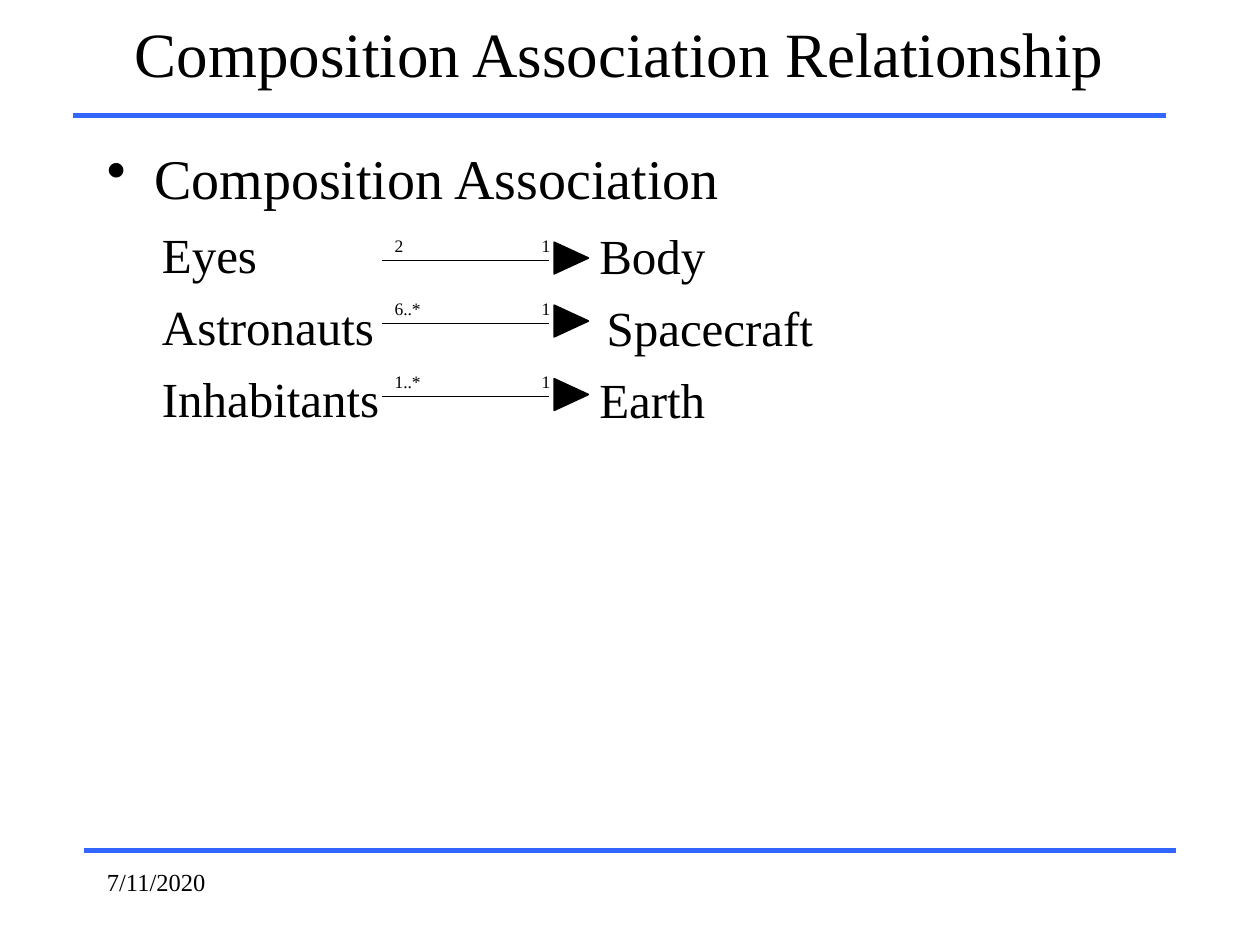
"""Build the composition association slide on a grid of 120 columns by 90 rows."""
import pptx
import pptx.dml.color
import pptx.enum.shapes
import pptx.enum.text
import pptx.oxml.ns
import pptx.util
from lxml import etree

BLACK = pptx.dml.color.RGBColor(0x00, 0x00, 0x00)
BLUE = pptx.dml.color.RGBColor(0x33, 0x66, 0xFF)
FONT = "Times New Roman"
ALIGN = pptx.enum.text.PP_ALIGN
ANCHOR = pptx.enum.text.MSO_ANCHOR
SHAPE = pptx.enum.shapes.MSO_SHAPE
CONNECTOR = pptx.enum.shapes.MSO_CONNECTOR
ROW_GAP = pptx.util.Pt(7.6)
RULES = [(7, 11), (8, 81)]
RELATIONS = [
    ("Eyes", "Body", "2", 24.8, 0),
    ("Astronauts", "Spacecraft", "6..*", 30.8, 0.7),
    ("Inhabitants", "Earth", "1..*", 37.8, 0),
]


def grid(*cells):
    """Turn grid counts into lengths."""
    return [pptx.util.Inches(c / 12) for c in cells]


def apply(obj, values):
    """Set each attribute of an object from a dict."""
    for name, value in values.items():
        setattr(obj, name, value)


def set_indent(p, left, first):
    """Set the left margin and first-line indent of a paragraph in grid counts."""
    pPr = p._p.get_or_add_pPr()
    for name, value in zip(("marL", "indent"), grid(left, first)):
        pPr.set(name, str(value))
    return pPr


def write(p, text, size, **values):
    """Write text in a paragraph and format it."""
    p.text = text
    apply(p, values)
    apply(p.font, {"name": FONT, "size": pptx.util.Pt(size)})
    p.font.color.rgb = BLACK


def add_text(shapes, box, text, size, anchor=ANCHOR.TOP, **values):
    """Add a text box with one paragraph."""
    tf = shapes.add_textbox(*grid(*box)).text_frame
    apply(tf, {"word_wrap": True, "vertical_anchor": anchor})
    write(tf.paragraphs[0], text, size, **values)
    return tf


def add_row(tf, text, indent):
    """Add an indented row of text below the others."""
    p = tf.add_paragraph()
    set_indent(p, indent, 0)
    write(p, text, 28, space_before=ROW_GAP)


def add_line(shapes, left, right, y, color, width):
    """Add a horizontal line."""
    c = shapes.add_connector(CONNECTOR.STRAIGHT, *grid(left, y, right, y))
    apply(c.line, {"width": pptx.util.Pt(width)})
    c.line.color.rgb = color
    etree.SubElement(c._element.spPr, pptx.oxml.ns.qn("a:effectLst"))


def add_arrow(shapes, many, y):
    """Add a grouped association line with its two counts and its head."""
    group = shapes.add_group_shape().shapes
    add_line(group, 36.4, 52.3, y, BLACK, 0.5)
    for left, width, text in [(36.4, 6, many), (50.4, 4, "1")]:
        add_text(group, (left, y - 3.05, width, 3.25), text, 10, ANCHOR.MIDDLE)
    sp = group.add_shape(SHAPE.ISOSCELES_TRIANGLE, *grid(52.9, y - 1.85, 3, 3.25))
    apply(sp, {"rotation": 90})
    sp.shadow.inherit = False
    sp.fill.solid()
    sp.fill.fore_color.rgb = BLACK
    sp.line.color.rgb = BLACK
    sp.line.width = pptx.util.Pt(1)


def add_body(shapes):
    """Add the bulleted heading with the parts, and the wholes right of the arrows."""
    parts = add_text(shapes, (9, 13.1, 102, 66), "Composition Association", 32)
    pPr = set_indent(parts.paragraphs[0], 4.5, -4.5)
    pPr.insert(0, etree.Element(pptx.oxml.ns.qn("a:buChar"), char="•"))
    for part, *_ in RELATIONS:
        add_row(parts, part, 5.25)
    wholes = add_text(shapes, (55.9, 20.9, 48, 21), RELATIONS[0][1], 28)
    for _, whole, _, _, indent in RELATIONS[1:]:
        add_row(wholes, whole, indent)


def main():
    """Build and save the slide."""
    prs = pptx.Presentation()
    apply(prs, dict(zip(("slide_width", "slide_height"), grid(120, 90))))
    s = prs.slides.add_slide(prs.slide_layouts[6])
    for left, y in RULES:
        add_line(s.shapes, left, left + 104, y, BLUE, 3)
    add_text(s.shapes, (7, 0, 104, 10), "Composition Association Relationship", 36,
             ANCHOR.MIDDLE, alignment=ALIGN.CENTER)
    add_body(s.shapes)
    add_text(s.shapes, (9, 82, 25, 6), "7/11/2020", 14)
    for _, _, many, y, _ in RELATIONS:
        add_arrow(s.shapes, many, y)
    prs.save("out.pptx")


if __name__ == "__main__":
    main()
